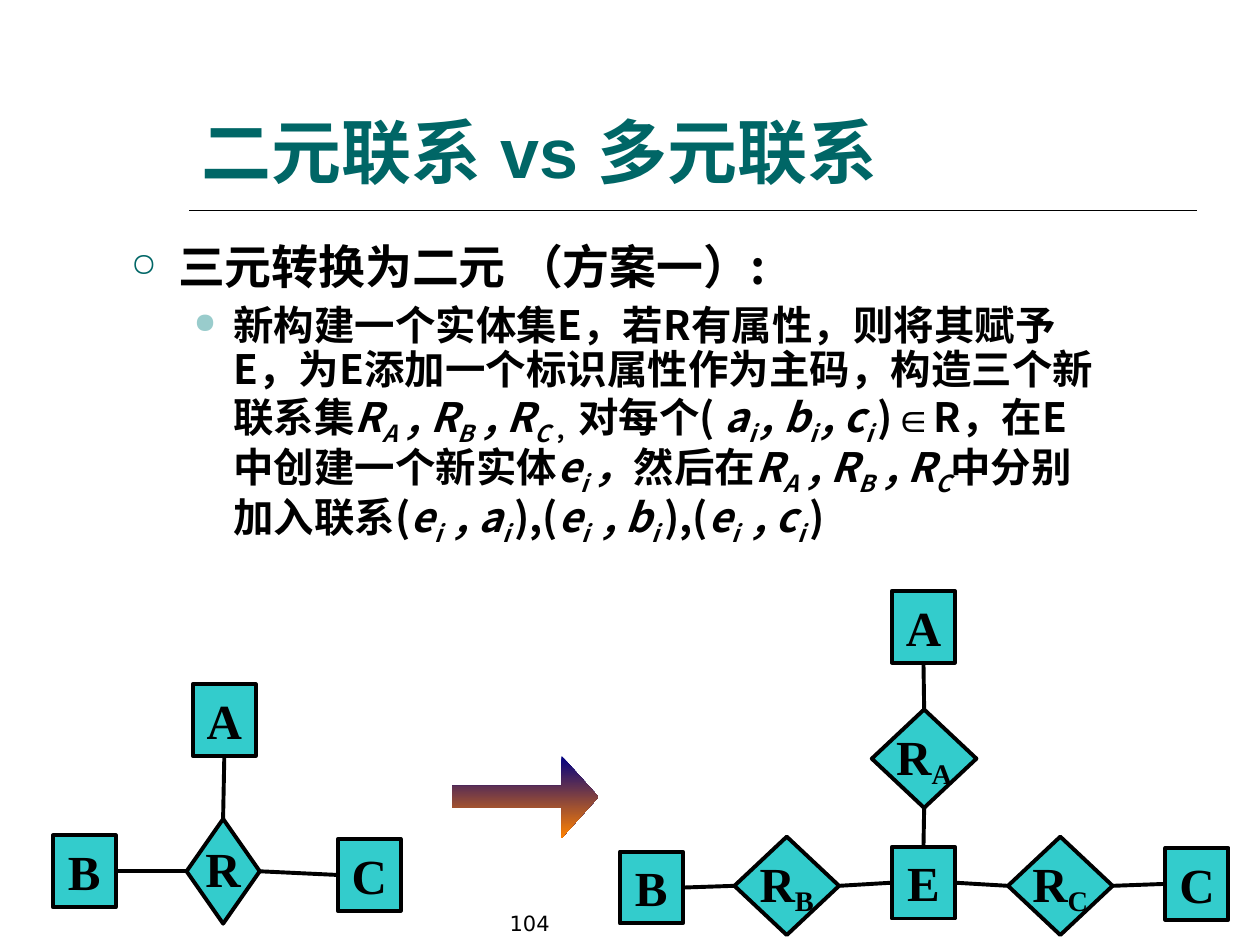
import pptx
import pptx.dml.color
import pptx.enum.dml
import pptx.enum.shapes
import pptx.enum.text
import pptx.oxml.ns
import pptx.util
from lxml import etree

Pt = pptx.util.Pt
qn = pptx.oxml.ns.qn
SHAPE = pptx.enum.shapes.MSO_SHAPE
ANCHOR = pptx.enum.text.MSO_ANCHOR
ALIGN = pptx.enum.text.PP_ALIGN
TOP, LEFT, BOTTOM, RIGHT = range(4)

BLACK, TEAL, PALE, AQUA = "000000", "006666", "99CCCC", "33CCCC"
CHINESE, CHINESE_BODY = "Noto Sans CJK SC", "Noto Sans CJK JP"
ENTITY_SIZE = (36, 41)

# Styles of the body runs: upright, italic, subscript, low comma, symbol
STYLES = {
    "u": {},
    "i": {"italic": True},
    "s": {"italic": True, "baseline": -25},
    "low": {"baseline": -20},
    "sym": {"font": "Arial"},
}
RELATIONS = [("i", "R"), ("s", "A  "), ("i", ", R"), ("s", "B  "), ("i", ", R")]
EXPLANATION = [
    ("u", "新构建一个实体集E，若R有属性，则将其赋予E，为E添加一个标识属性作为主码，构造三个新联系集"),
    *RELATIONS, ("s", "C "), ("low", "，"), ("u", "对每个( "),
    ("i", "a"), ("s", "i "), ("i", ", b"), ("s", "i "), ("i", ", c"), ("s", "i "),
    ("u", ")"), ("sym", "∈"), ("u", "R，在E中创建一个新实体"),
    ("i", "e"), ("s", "i "), ("i", "，"), ("u", "然后在"),
    *RELATIONS, ("s", "C"), ("u", "中分别加入联系("),
]
for letter, closing in (("a", "),("), ("b", "),("), ("c", ")")):
    EXPLANATION += [("i", "e"), ("s", "i "), ("i", f" , {letter}"), ("s", "i "), ("u", closing)]


def color(value):
    return pptx.dml.color.RGBColor.from_string(value)


def write(para, text, size=28, font="Times New Roman", fill=BLACK, bold=True,
          italic=False, baseline=0):
    span = para.add_run()
    span.text = text
    span.font.size = Pt(size)
    span.font.name = font
    span.font.bold = bold
    span.font.italic = italic
    span.font.color.rgb = color(fill)
    properties = span.font._element
    east_asian = etree.Element(qn("a:ea"), typeface=font)
    properties.find(qn("a:latin")).addnext(east_asian)
    if baseline:
        properties.set("baseline", str(baseline * 1000))


def add_text_box(page, box, anchor=ANCHOR.TOP):
    frame = page.shapes.add_textbox(*map(Pt, box)).text_frame
    frame.word_wrap = True
    frame.vertical_anchor = anchor
    return frame


def add_bullet(para, char, fill, margin, indent):
    properties = para._p.get_or_add_pPr()
    properties.set("marL", str(Pt(margin)))
    properties.set("indent", str(Pt(indent)))
    bullet_color = etree.SubElement(properties, qn("a:buClr"))
    etree.SubElement(bullet_color, qn("a:srgbClr"), val=fill)
    etree.SubElement(properties, qn("a:buSzPct"), val="70000")
    etree.SubElement(properties, qn("a:buChar"), char=char)


def add_line(page, points=(0, 0, 0, 0), width=2.25):
    line = page.shapes.add_connector(
        pptx.enum.shapes.MSO_CONNECTOR.STRAIGHT, *map(Pt, points))
    line.line.color.rgb = color(BLACK)
    line.line.width = Pt(width)
    etree.SubElement(line._element.spPr, qn("a:effectLst"))
    return line


def join(page, first, first_side, second, second_side):
    line = add_line(page)
    line.begin_connect(first, first_side)
    line.end_connect(second, second_side)


def add_node(page, kind, box):
    node = page.shapes.add_shape(kind, *map(Pt, box))
    node.shadow.inherit = False
    node.fill.solid()
    node.fill.fore_color.rgb = color(AQUA)
    node.line.color.rgb = color(BLACK)
    node.line.width = Pt(2.25)
    node.text_frame.paragraphs[0].alignment = ALIGN.CENTER
    return node


def add_entity(page, left, top, name):
    node = add_node(page, SHAPE.RECTANGLE, (left, top, *ENTITY_SIZE))
    node.text_frame.vertical_anchor = ANCHOR.TOP
    write(node.text_frame.paragraphs[0], name)
    return node


def add_relation(page, box, subscript=""):
    node = add_node(page, SHAPE.DIAMOND, box)
    node.text_frame.word_wrap = False
    node.text_frame.vertical_anchor = ANCHOR.MIDDLE
    para = node.text_frame.paragraphs[0]
    para.line_spacing = 0.9
    write(para, "R")
    if subscript:
        write(para, subscript, baseline=-18)
    return node


def add_title(page, box):
    frame = add_text_box(page, box, ANCHOR.BOTTOM)
    write(frame.paragraphs[0], "二元联系 vs 多元联系", size=40, font="Arial", fill=TEAL)
    left, top, width, height = box
    rule = top + height + 6.5
    add_line(page, (left, rule, left + width, rule), width=1)


def add_body(page, box):
    frame = add_text_box(page, box)
    heading = frame.paragraphs[0]
    add_bullet(heading, "○", TEAL, 27, -27)
    heading.line_spacing = 0.9
    write(heading, "三元转换为二元 （方案一）:", size=26.8, font=CHINESE)
    detail = frame.add_paragraph()
    detail.level = 1
    add_bullet(detail, "●", PALE, 58.5, -22.5)
    detail.line_spacing = 0.9
    detail.space_before = Pt(6.2)
    for style, text in EXPLANATION:
        write(detail, text, **{"size": 23.1, "font": CHINESE_BODY, **STYLES[style]})


def add_ternary_diagram(page, left, top):
    """One relation R that joins the three entities directly."""
    b = add_entity(page, left, top + 86.4, "B")
    c = add_entity(page, left + 162.8, top + 88.5, "C")
    a = add_entity(page, left + 80, top, "A")
    r = add_relation(page, (left + 76.4, top + 77, 41.8, 59.8))
    join(page, a, BOTTOM, r, TOP)
    join(page, c, LEFT, r, RIGHT)
    join(page, b, RIGHT, r, LEFT)


def add_binary_diagram(page, left, top):
    """A central entity E with one binary relation to each entity."""
    e = add_entity(page, left + 155.5, top + 146.2, "E")
    arms = [
        ("A", (155.5, 0), (144, 67.7), BOTTOM, TOP),
        ("B", (0, 149), (65.5, 140.4), RIGHT, LEFT),
        ("C", (311.8, 146.9), (221.8, 140.4), LEFT, RIGHT),
    ]
    for name, (x, y), (relation_x, relation_y), inner, outer in arms:
        entity = add_entity(page, left + x, top + y, name)
        relation = add_relation(
            page, (left + relation_x, top + relation_y, 59.8, 56.2), name)
        join(page, entity, inner, relation, outer)
        join(page, relation, inner, e, outer)


def add_conversion_arrow(page, box):
    arrow = page.shapes.add_shape(SHAPE.RIGHT_ARROW, *map(Pt, box))
    arrow.shadow.inherit = False
    arrow.adjustments[0] = 0.27
    arrow.adjustments[1] = 0.45
    arrow.line.fill.background()
    arrow.fill.gradient()
    arrow.fill.gradient_angle = 270
    for stop, position, value in zip(arrow.fill.gradient_stops, (0, 1), ("000082", "FF8200")):
        stop.position = position
        stop.color.rgb = color(value)


def add_page_number(page, box):
    para = add_text_box(page, box, ANCHOR.BOTTOM).paragraphs[0]
    para.alignment = ALIGN.RIGHT
    write(para, "104", size=12, font="DejaVu Sans", bold=False)


def main():
    deck = pptx.Presentation()
    deck.slide_width, deck.slide_height = Pt(720), Pt(540)
    page = deck.slides.add_slide(deck.slide_layouts[6])
    add_title(page, (108, 23.8, 576, 90))
    add_body(page, (67.7, 136, 568, 209))
    add_ternary_diagram(page, 30.2, 391)
    add_binary_diagram(page, 354.2, 337.7)
    add_conversion_arrow(page, (258, 432, 84, 46.8))
    add_page_number(page, (153.4, 502.5, 167.8, 36))
    deck.save("out.pptx")


if __name__ == "__main__":
    main()
